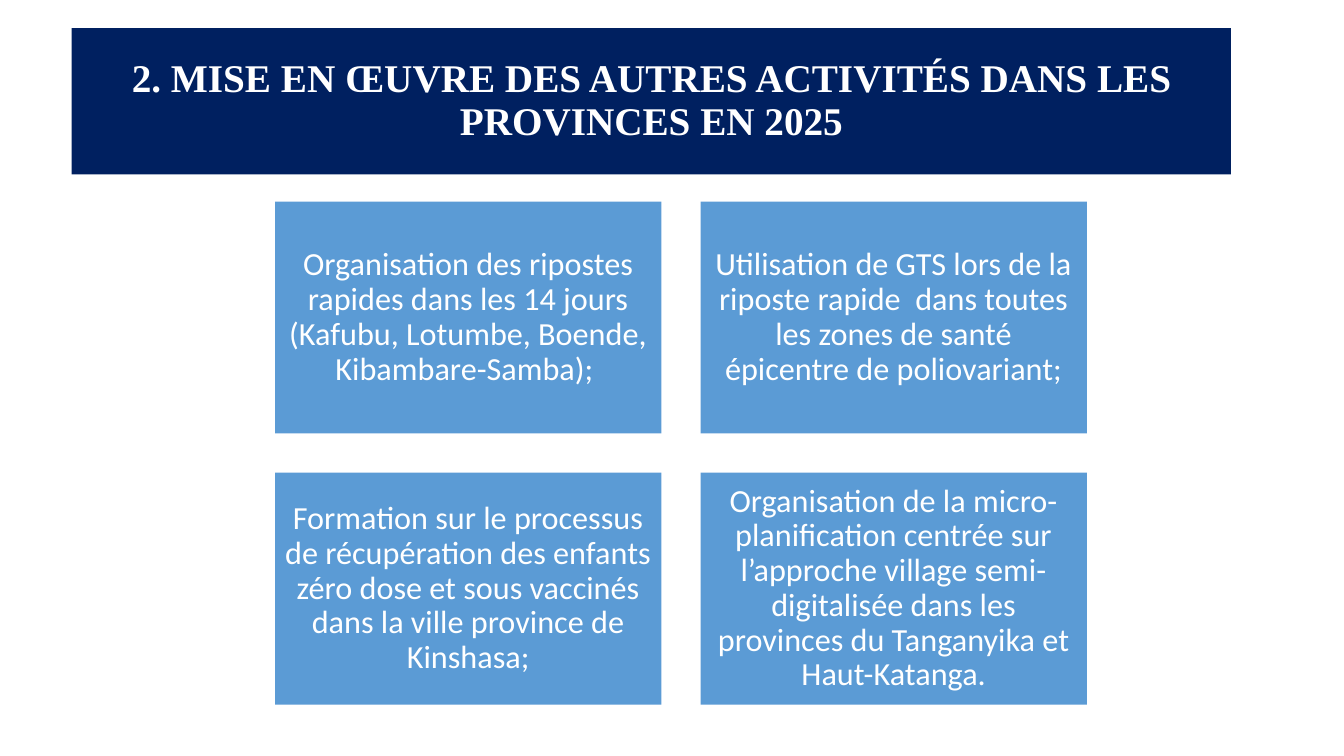
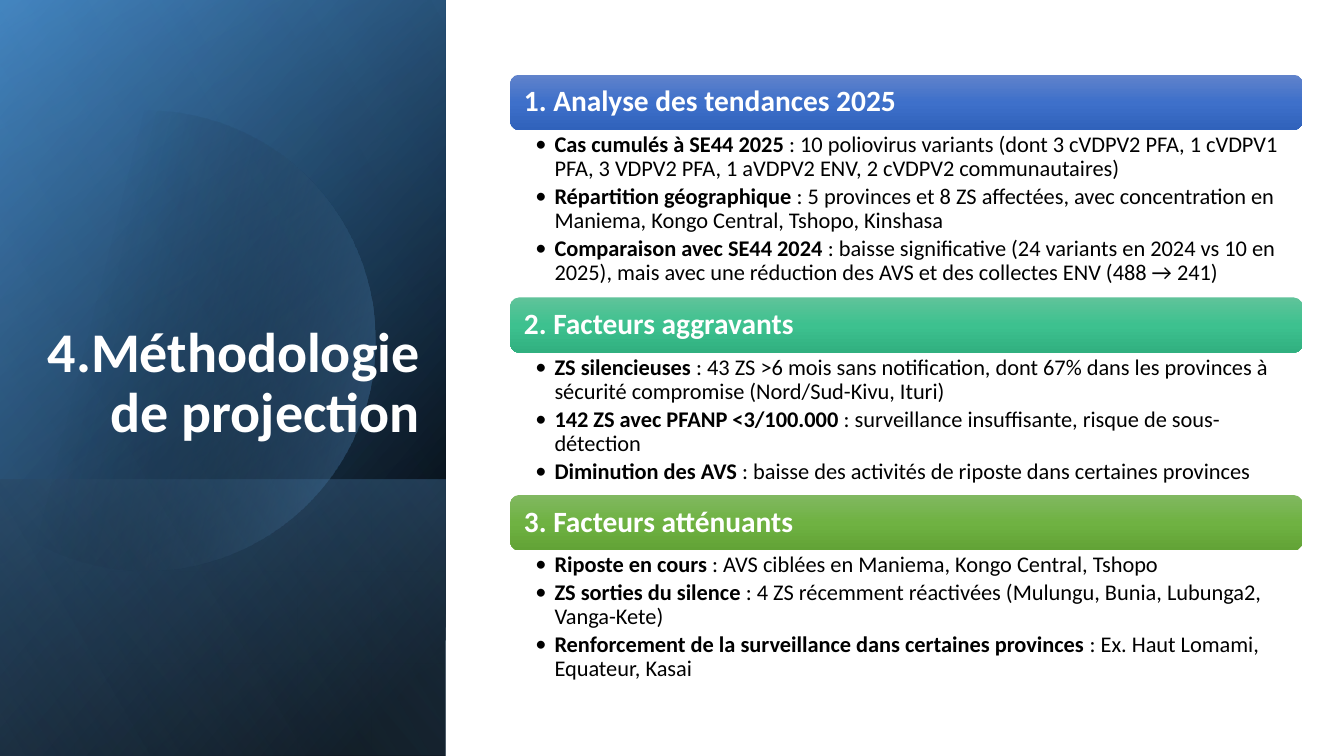
from math import acos, cos, degrees, radians, sin

from lxml import etree
from pptx import Presentation
from pptx.dml.color import RGBColor
from pptx.enum import shapes, text
from pptx.oxml import ns, parse_xml
from pptx.util import Inches, Pt

# Shared style
WHITE, BLACK, NAVY, BLUE = "FFFFFF", "000000", "002060", "5B9BD5"
BODY_FONT, SERIF_FONT = "Calibri", "Times New Roman"
RECT = shapes.MSO_SHAPE.RECTANGLE
ROUNDED = shapes.MSO_SHAPE.ROUNDED_RECTANGLE
LEFT, CENTER, RIGHT = (text.PP_ALIGN.LEFT, text.PP_ALIGN.CENTER,
                       text.PP_ALIGN.RIGHT)
TOP, MIDDLE, BOTTOM = (text.MSO_ANCHOR.TOP, text.MSO_ANCHOR.MIDDLE,
                       text.MSO_ANCHOR.BOTTOM)
SLIDE_W, SLIDE_H = 13.33, 7.5


def rgb(value):
    return RGBColor.from_string(value)


def gradient(s, stops, angle):
    """Fill with stops of (position %, colour, opacity %)."""
    marks = "".join(
        f'<a:gs pos="{pos * 1000}"><a:srgbClr val="{color}">'
        f'<a:alpha val="{opacity * 1000}"/></a:srgbClr></a:gs>'
        for pos, color, opacity in stops)
    s.fill.background()
    empty = s._element.spPr.find(ns.qn("a:noFill"))
    empty.getparent().replace(empty, parse_xml(
        f'<a:gradFill {ns.nsdecls("a")} rotWithShape="1">'
        f'<a:gsLst>{marks}</a:gsLst>'
        f'<a:lin ang="{angle * 60000}" scaled="0"/></a:gradFill>'))


def plain(s):
    s.shadow.inherit = False
    s.line.fill.background()
    return s


def add_shape(slide, kind, x, y, w, h, fill=None):
    s = plain(slide.shapes.add_shape(
        kind, Inches(x), Inches(y), Inches(w), Inches(h)))
    if fill:
        s.fill.solid()
        s.fill.fore_color.rgb = rgb(fill)
    return s


def add_box(slide, x, y, w, h):
    return slide.shapes.add_textbox(Inches(x), Inches(y), Inches(w), Inches(h))


def frame(s, anchor, insets=(0.1, 0.05, 0.1, 0.05)):
    tf = s.text_frame
    tf.word_wrap = True
    tf.vertical_anchor = anchor
    (tf.margin_left, tf.margin_top,
     tf.margin_right, tf.margin_bottom) = map(Inches, insets)
    return tf


def write(p, runs, size, color, align=LEFT, font=BODY_FONT):
    """Add runs of (text, bold) to a paragraph."""
    p.alignment = align
    p.line_spacing = 0.9
    for content, bold in runs:
        r = p.add_run()
        r.text = content
        r.font.name, r.font.size, r.font.bold = font, Pt(size), bold
        r.font.color.rgb = rgb(color)


def title(s, content, size, align, anchor, font=BODY_FONT):
    write(frame(s, anchor).paragraphs[0], [(content, True)],
          size, WHITE, align, font)


# Slide 1: title band and a grid of activities
def activity_grid(slide, x, y, items, columns=2):
    w, h, gap = 3.83, 2.3, 0.39
    for i, item in enumerate(items):
        row, col = divmod(i, columns)
        s = add_shape(slide, RECT, x + col * (w + gap),
                      y + row * (h + gap), w, h, BLUE)
        tf = frame(s, MIDDLE, (0.1,) * 4)
        write(tf.paragraphs[0], [(item, False)], 23, WHITE, CENTER)


def activities_slide(prs):
    slide = prs.slides.add_slide(prs.slide_layouts[6])
    title(add_shape(slide, RECT, 0.71, 0.28, 11.5, 1.45, NAVY),
          "2. MISE EN ŒUVRE DES AUTRES ACTIVITÉS DANS LES PROVINCES EN 2025",
          28, CENTER, MIDDLE, SERIF_FONT)
    activity_grid(slide, 2.73, 2, [
        "Organisation des ripostes rapides dans les 14 jours "
        "(Kafubu, Lotumbe, Boende, Kibambare-Samba); ",
        "Utilisation de GTS lors de la riposte rapide  dans toutes les zones "
        "de santé épicentre de poliovariant;",
        "Formation sur le processus de récupération des enfants zéro dose et "
        "sous vaccinés dans la ville province de Kinshasa;",
        "Organisation de la micro-planification centrée sur l’approche "
        "village semi-digitalisée dans les provinces du Tanganyika et "
        "Haut-Katanga.",
    ])


# Slide 2: shaded side panel and three sections
def turned_layer(slide, x, y, w, h, stops, angle):
    """Cover the box with a mirrored rectangle turned by 90 degrees."""
    s = add_shape(slide, RECT, x + (w - h) / 2, y + (h - w) / 2, h, w)
    s.rotation = 90
    s._element.spPr.find(ns.qn("a:xfrm")).set("flipH", "1")
    gradient(s, stops, angle)


def cut_disc(slide, x, cx, cy, radius):
    """Draw the part of a disc that lies right of x."""
    limit = degrees(acos((x - cx) / radius))
    steps = 90
    angles = [radians(-limit + 2 * limit * i / steps)
              for i in range(steps + 1)]
    points = [(Inches(cx + radius * cos(a)), Inches(cy + radius * sin(a)))
              for a in angles]
    builder = slide.shapes.build_freeform(*points[0])
    builder.add_line_segments(points[1:], close=True)
    s = plain(builder.convert_to_shape())
    gradient(s, [(29, BLACK, 0), (100, BLUE, 43)], 14)


def side_panel(slide, x, y, w, h, heading):
    foot = 2.74
    turned_layer(slide, x, y, w, h,
                 [(8, BLACK, 100), (100, "2E75B6", 100)], 50)
    turned_layer(slide, x, y, w, h, [(0, BLACK, 0), (99, BLUE, 46)], 30)
    turned_layer(slide, x, y + h - foot, w, foot,
                 [(2, BLUE, 29), (100, BLACK, 30)], 130)
    cut_disc(slide, x, x + 1.44, y + 3.38, 2.28)
    turned_layer(slide, x, y, w, h, [(0, BLACK, 0), (99, "9DC3E6", 11)], 120)
    title(add_box(slide, x + 0.23, y + 1.84, w - 0.39, 2.62),
          heading, 40, RIGHT, BOTTOM)


def bullet(p):
    pPr = p._p.get_or_add_pPr()
    pPr.set("marL", str(Inches(0.19)))
    pPr.set("indent", str(-Inches(0.19)))
    etree.SubElement(pPr, ns.qn("a:buFont")).set("typeface", BODY_FONT)
    etree.SubElement(pPr, ns.qn("a:buChar")).set("char", "•")


def section(slide, x, y, w, h, heading, colors, points):
    bar_h = 0.55
    bar = add_shape(slide, ROUNDED, x, y, w, bar_h)
    gradient(bar, [(pos, c, 100) for pos, c in zip((0, 50, 100), colors)], 90)
    write(frame(bar, MIDDLE, (0.11, 0.09, 0.11, 0.09)).paragraphs[0],
          [(heading, True)], 21, WHITE)

    tf = frame(add_box(slide, x, y + bar_h, w, h - bar_h),
               TOP, (0.25, 0.03, 0.16, 0.03))
    for i, (label, detail) in enumerate(points):
        p = tf.add_paragraph() if i else tf.paragraphs[0]
        bullet(p)
        p.space_after = Pt(2.6)
        write(p, [(label, True), (" : " + detail, False)], 16, BLACK)


SECTIONS = [
    (2.21, "1. Analyse des tendances 2025", ("6183CB", "3E70CA", "3062BB"), [
        ("Cas cumulés à SE44 2025",
         "10 poliovirus variants (dont 3 cVDPV2 PFA, 1 cVDPV1 PFA, "
         "3 VDPV2 PFA, 1 aVDPV2 ENV, 2 cVDPV2 communautaires)"),
        ("Répartition géographique",
         "5 provinces et 8 ZS affectées, avec concentration en Maniema, "
         "Kongo Central, Tshopo, Kinshasa"),
        ("Comparaison avec SE44 2024",
         "baisse significative (24 variants en 2024 vs 10 en 2025), mais "
         "avec une réduction des AVS et des collectes ENV (488 → 241)"),
    ]),
    (1.96, "2. Facteurs aggravants", ("60C39A", "3DC18F", "31B080"), [
        ("ZS silencieuses",
         "43 ZS >6 mois sans notification, dont 67% dans les provinces à "
         "sécurité compromise (Nord/Sud-Kivu, Ituri)"),
        ("142 ZS avec PFANP <3/100.000",
         "surveillance insuffisante, risque de sous-détection"),
        ("Diminution des AVS",
         "baisse des activités de riposte dans certaines provinces"),
    ]),
    (1.96, "3. Facteurs atténuants", ("81B861", "6FB242", "62A336"), [
        ("Riposte en cours", "AVS ciblées en Maniema, Kongo Central, Tshopo"),
        ("ZS sorties du silence",
         "4 ZS récemment réactivées (Mulungu, Bunia, Lubunga2, Vanga-Kete)"),
        ("Renforcement de la surveillance dans certaines provinces",
         "Ex. Haut Lomami, Equateur, Kasai"),
    ]),
]


def method_slide(prs):
    slide = prs.slides.add_slide(prs.slide_layouts[6])
    side_panel(slide, 0, 0, 4.42, SLIDE_H, "4.Méthodologie de projection")
    y = 0.74
    for h, heading, colors, points in SECTIONS:
        section(slide, 5.06, y, 7.86, h, heading, colors, points)
        y += h


def main():
    prs = Presentation()
    prs.slide_width, prs.slide_height = Inches(SLIDE_W), Inches(SLIDE_H)
    activities_slide(prs)
    method_slide(prs)
    prs.save("out.pptx")


if __name__ == "__main__":
    main()
